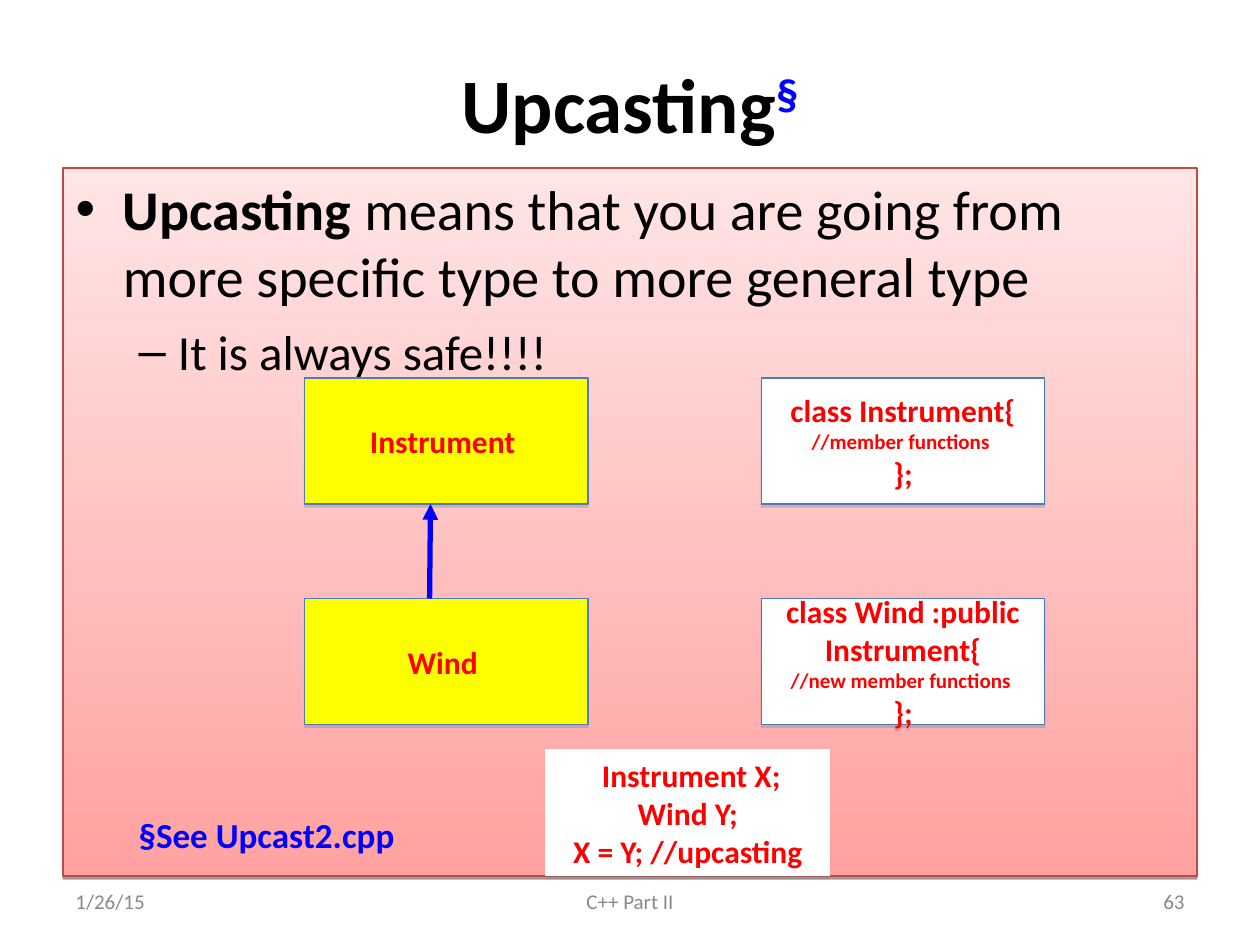
from dataclasses import dataclass
from lxml import etree
from pptx import Presentation
from pptx.dml.color import RGBColor
from pptx.enum.shapes import MSO_CONNECTOR, MSO_SHAPE
from pptx.enum.text import MSO_ANCHOR, MSO_AUTO_SIZE, PP_ALIGN
from pptx.oxml.ns import qn
from pptx.util import Pt

RECT = MSO_SHAPE.RECTANGLE
LINE = MSO_CONNECTOR.STRAIGHT
TOP, MID = MSO_ANCHOR.TOP, MSO_ANCHOR.MIDDLE
LEFT, CENTER, RIGHT = PP_ALIGN.LEFT, PP_ALIGN.CENTER, PP_ALIGN.RIGHT
FIXED = MSO_AUTO_SIZE.NONE


@dataclass
class Theme:
    face: str = "Calibri"
    black: str = "000000"
    blue: str = "0000FF"
    red: str = "FF0000"
    gray: str = "898989"
    white: str = "FFFFFF"
    yellow: str = "FFFF00"
    edge: str = "4A7EBB"
    frame: str = "BE4B48"
    light: str = "FFE5E5"
    deep: str = "FFA2A1"
    shade: str = "808080"
    title: int = 44
    body: int = 32
    sub: int = 28
    note: int = 20
    code: int = 18
    small: int = 12


def style(para, size, color, bold=False, align=LEFT):
    para.alignment = align
    font = para.font
    font.name, font.size, font.bold = theme.face, Pt(size), bold
    font.color.rgb = RGBColor.from_string(color)


def shadow(shape, color, alpha, dist):
    shape.shadow.inherit = False
    effects = shape._element.spPr.find(qn("a:effectLst"))
    outer = etree.SubElement(effects, qn("a:outerShdw"), blurRad="0",
                             dist=str(Pt(dist)), dir="5400000", rotWithShape="0")
    tint = etree.SubElement(outer, qn("a:srgbClr"), val=color)
    etree.SubElement(tint, qn("a:alpha"), val=str(alpha * 1000))


theme = Theme()
deck = Presentation()
deck.slide_width, deck.slide_height = Pt(720), Pt(540)
slide = deck.slides.add_slide(deck.slide_layouts[1])
shapes = slide.shapes

title = shapes.title
title.left, title.top, title.width, title.height = Pt(36), Pt(21.6), Pt(648), Pt(74.4)
frame = title.text_frame
frame.auto_size, frame.vertical_anchor = FIXED, MID
para = frame.paragraphs[0]
para.add_run().text = "Upcasting"
mark = para.add_run()
mark.text = "§"
style(para, theme.title, theme.black, True, CENTER)
mark.font.color.rgb = RGBColor.from_string(theme.blue)
mark._r.get_or_add_rPr().set("baseline", "30000")

body = slide.placeholders[1]
body.left, body.top, body.width, body.height = Pt(36), Pt(96), Pt(648), Pt(404.64)
body.fill.gradient()
body.fill.gradient_angle = 270
for stop, color, place in zip(body.fill.gradient_stops, (theme.light, theme.deep), (0, 1)):
    stop.color.rgb = RGBColor.from_string(color)
    stop.position = place
body.line.color.rgb = RGBColor.from_string(theme.frame)
body.line.width = Pt(0.75)
shadow(body, theme.black, 38, 1.6)
frame = body.text_frame
frame.auto_size, frame.vertical_anchor, frame.word_wrap = FIXED, TOP, True
lead = frame.paragraphs[0]
term = lead.add_run()
term.text = "Upcasting "
term.font.bold = True
lead.add_run().text = "means that you are going from more specific type to more general type"
lead.space_before = Pt(0)
style(lead, theme.body, theme.black)

safe = frame.add_paragraph()
safe.text, safe.level, safe.space_before = "It is always safe!!!!", 1, Pt(7)
style(safe, theme.sub, theme.black)

note = frame.add_paragraph()
note.text, note.level, note.space_before = "§See Upcast2.cpp", 1, Pt(248)
etree.SubElement(note._p.get_or_add_pPr(), qn("a:buNone"))
style(note, theme.note, theme.blue, True)

for text, x, width, align in (
    ("1/26/15", 36, 168, LEFT),
    ("C++ Part II", 246, 228, CENTER),
    ("63", 516, 168, RIGHT),
):
    frame = shapes.add_textbox(Pt(x), Pt(500.5), Pt(width), Pt(28.75)).text_frame
    frame.word_wrap, frame.vertical_anchor = True, MID
    frame.text = text
    style(frame.paragraphs[0], theme.small, theme.gray, align=align)

for x, y, fill, edge, lines in (
    (174, 216, theme.yellow, theme.edge, ["Instrument "]),
    (174, 342, theme.yellow, theme.edge, ["Wind "]),
    (435, 216, theme.white, theme.edge,
     ["class Instrument{", "//member functions ", "};"]),
    (435, 342, theme.white, theme.edge,
     ["class Wind :public Instrument{", "//new member functions ", "};"]),
    (312, 428.4, theme.white, theme.white,
     [" Instrument X;", "Wind Y;", "X = Y; //upcasting"]),
):
    box = shapes.add_shape(RECT, Pt(x), Pt(y), Pt(162), Pt(72))
    box.fill.solid()
    box.fill.fore_color.rgb = RGBColor.from_string(fill)
    box.line.color.rgb = RGBColor.from_string(edge)
    box.line.width = Pt(0.75)
    shadow(box, theme.shade, 35, 1.8)
    frame = box.text_frame
    frame.word_wrap, frame.vertical_anchor = True, MID
    frame.text = "\n".join(lines)
    for para in frame.paragraphs:
        size = theme.small if para.text.startswith("//") else theme.code
        style(para, size, theme.red, True, CENTER)

arrow = shapes.add_connector(LINE, Pt(245.5), Pt(342), Pt(246), Pt(288))
arrow.line.color.rgb = RGBColor.from_string(theme.blue)
arrow.line.width = Pt(3)
etree.SubElement(arrow.line._get_or_add_ln(), qn("a:tailEnd"), type="triangle")
etree.SubElement(arrow._element.spPr, qn("a:effectLst"))

deck.save("out.pptx")
